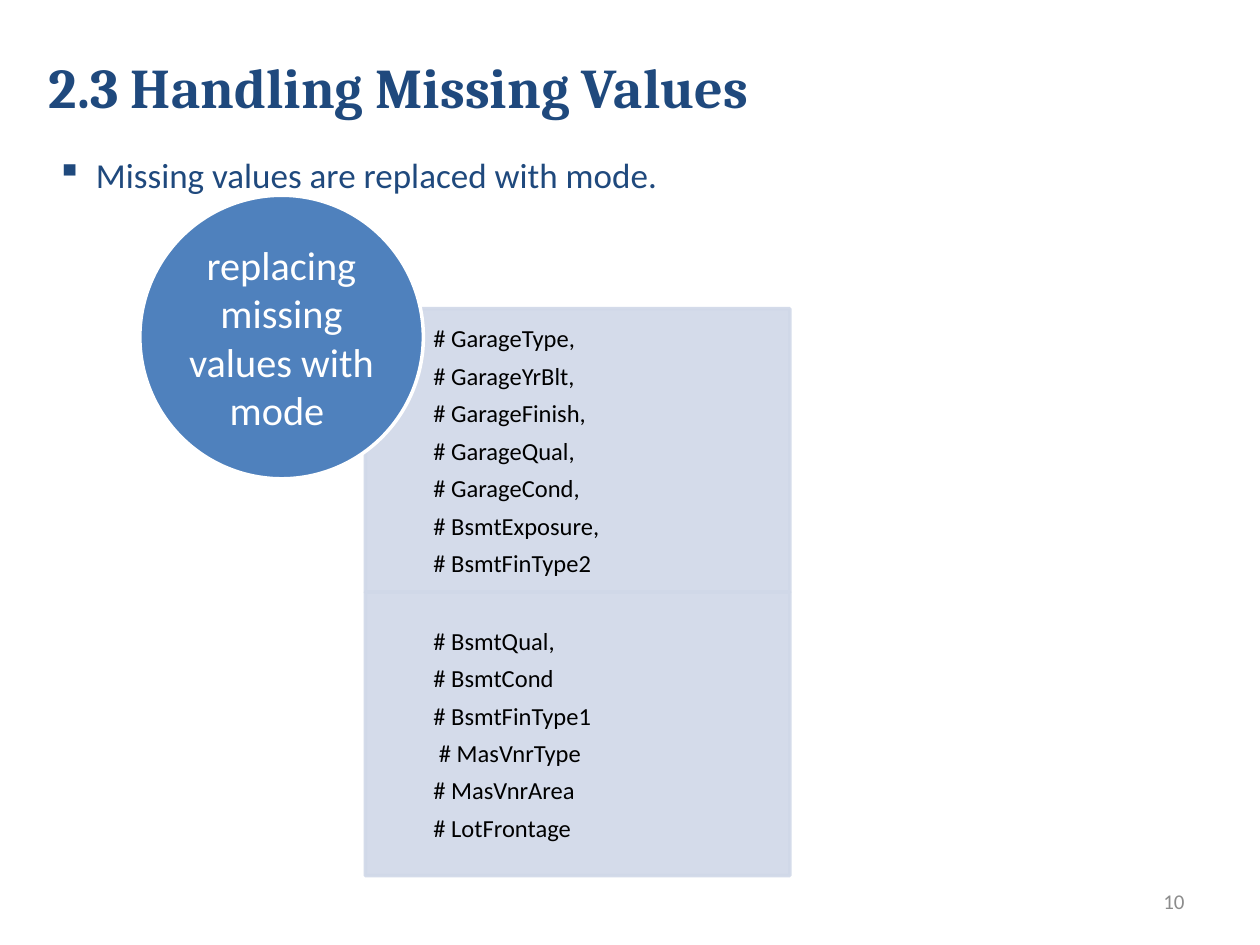
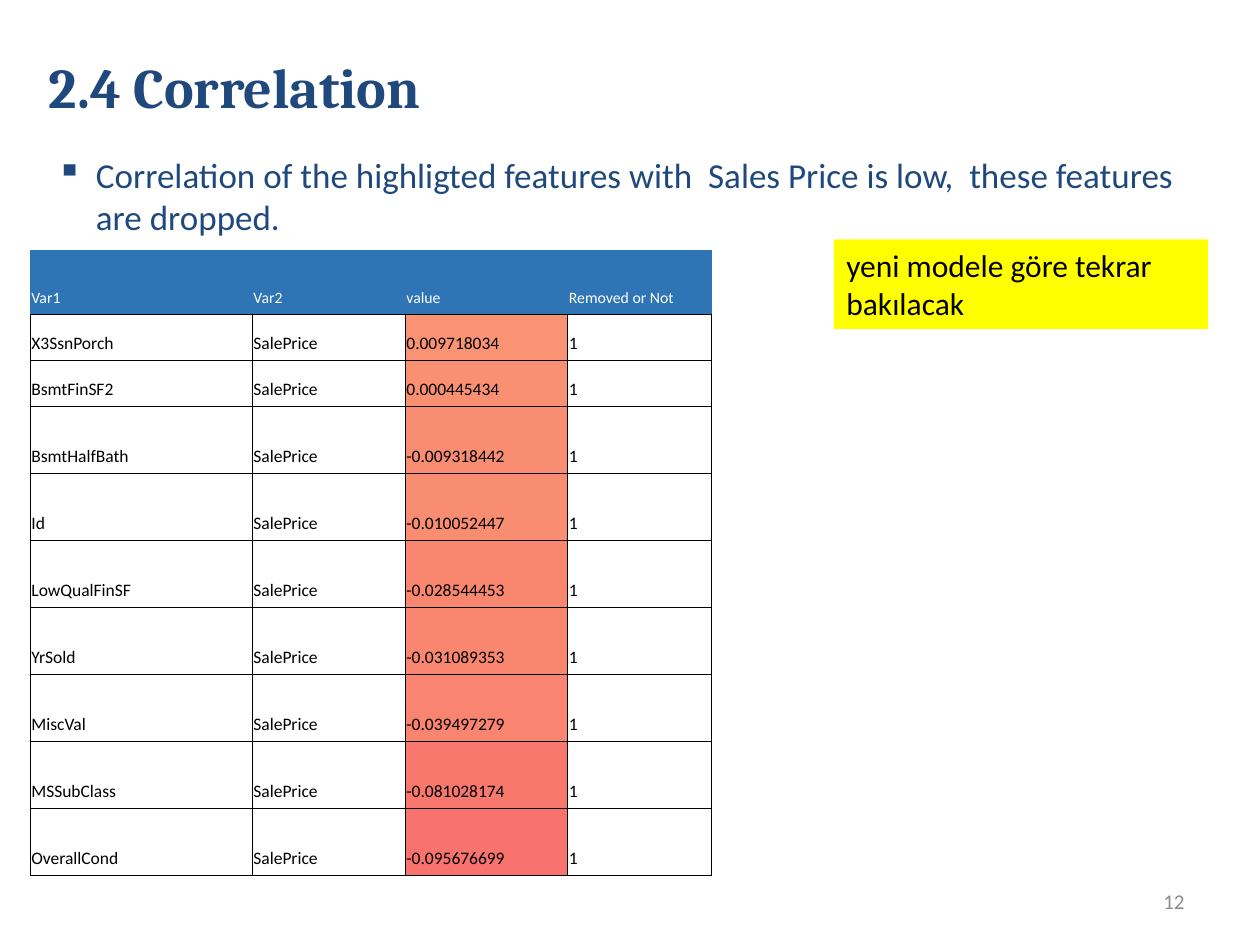
from dataclasses import dataclass

import pptx
import pptx.util
import pptx.dml.color
import pptx.enum.shapes
import pptx.enum.text
import pptx.oxml
import pptx.oxml.ns

Pt = pptx.util.Pt
RGBColor = pptx.dml.color.RGBColor
Shape = pptx.enum.shapes.MSO_SHAPE
Align = pptx.enum.text.PP_ALIGN
Anchor = pptx.enum.text.MSO_ANCHOR
qn = pptx.oxml.ns.qn

NAVY = RGBColor(0x1F, 0x49, 0x7D)
BLUE = RGBColor(0x4F, 0x81, 0xBD)
PALE = RGBColor(0xD0, 0xD8, 0xE8)
HEAD = RGBColor(0x2F, 0x75, 0xB5)
GREY = RGBColor(0x8C, 0x8C, 0x8C)
YELLOW = RGBColor(0xFF, 0xFF, 0x00)
WHITE = RGBColor(0xFF, 0xFF, 0xFF)
BLACK = RGBColor(0x00, 0x00, 0x00)
SERIF, SANS = "Cambria", "Calibri"


@dataclass(frozen=True)
class Box:
    left: float
    top: float
    width: float
    height: float

    def points(self) -> tuple:
        return Pt(self.left), Pt(self.top), Pt(self.width), Pt(self.height)


@dataclass(frozen=True)
class Style:
    size: float
    color: RGBColor
    font: str = SANS
    bold: bool = False
    align: Align = Align.LEFT
    after: float = 0


@dataclass(frozen=True)
class Pair:
    """One feature, its correlation with the sale price, and the heat colour."""
    name: str
    value: str
    heat: str


TITLE = Style(32, NAVY, SERIF, bold=True)
BODY = Style(20, NAVY)
FOOT = Style(12, GREY, align=Align.RIGHT)
LIST = Style(14, BLACK, after=4.6)
DISC = Style(23, WHITE, align=Align.CENTER)
NOTE = Style(18, BLACK)
TOP_CELL = Style(9, WHITE)
CELL = Style(10, BLACK)

TITLE_BOX = Box(20.9, 4.3, 648, 90)
BODY_BOX = Box(25.2, 84.2, 666, 56)
FOOT_BOX = Box(516.2, 500.4, 167.8, 28.8)
DISC_BOX = Box(79.9, 111.6, 162, 162)
NOTE_BOX = Box(476.6, 136.8, 213.8, 51.1)
TABLE_BOX = Box(17.3, 142.9, 389.5, 357.5)
PANEL_BOX = Box(208.8, 176.4, 242.6, 162)
HANG = 22.5

GROUPS = [
    ["# GarageType,", "# GarageYrBlt,", "# GarageFinish,", "# GarageQual,",
     "# GarageCond,", "# BsmtExposure,", "# BsmtFinType2"],
    ["# BsmtQual,", "# BsmtCond", "# BsmtFinType1", " # MasVnrType",
     "# MasVnrArea", "# LotFrontage"],
]
HEADS = ["Var1", "Var2", "value", "Removed or Not"]
PAIRS = [
    Pair("X3SsnPorch", "0.009718034", "FA9373"),
    Pair("BsmtFinSF2", "0.000445434", "FA9072"),
    Pair("BsmtHalfBath", "-0.009318442", "F98D72"),
    Pair("Id", "-0.010052447", "F98D72"),
    Pair("LowQualFinSF", "-0.028544453", "F98770"),
    Pair("YrSold", "-0.031089353", "F98770"),
    Pair("MiscVal", "-0.039497279", "F98470"),
    Pair("MSSubClass", "-0.081028174", "F8786D"),
    Pair("OverallCond", "-0.095676699", "F8736D"),
]
WIDTHS = [126.9, 87.4, 92.9, 82.3]
HEIGHTS = [36.6] + [26.5] * 2 + [38.25] * 7


def write(frame, lines: list[str], style: Style) -> None:
    frame.text = "\n".join(lines)
    for par in frame.paragraphs:
        par.alignment = style.align
        par.space_after = Pt(style.after)
        for run in par.runs:
            run.font.size = Pt(style.size)
            run.font.name = style.font
            run.font.bold = style.bold
            run.font.color.rgb = style.color


def inset(frame, left: float, rest: float) -> None:
    frame.margin_left = Pt(left)
    frame.margin_top = frame.margin_right = frame.margin_bottom = Pt(rest)


def add_text(slide, box: Box, text: str, style: Style, anchor=Anchor.MIDDLE):
    frame = slide.shapes.add_textbox(*box.points()).text_frame
    frame.word_wrap = True
    frame.vertical_anchor = anchor
    write(frame, [text], style)
    return frame


def add_shape(slide, kind: Shape, box: Box, fill: RGBColor,
              lines: list[str], style: Style, edge: RGBColor | None = None):
    shape = slide.shapes.add_shape(kind, *box.points())
    shape.shadow.inherit = False
    shape.fill.solid()
    shape.fill.fore_color.rgb = fill
    if edge is None:
        shape.line.fill.background()
    else:
        shape.line.color.rgb = edge
        shape.line.width = Pt(2)
    shape.text_frame.word_wrap = True
    shape.text_frame.vertical_anchor = Anchor.MIDDLE
    write(shape.text_frame, lines, style)
    return shape


def fade(shape, percent: int) -> None:
    """Make the fill and the outline of a shape partly see-through."""
    for color in shape._element.spPr.iter(qn("a:srgbClr")):
        alpha = color.makeelement(qn("a:alpha"), {"val": str(percent * 1000)})
        color.append(alpha)


def add_slide(deck, title: str, point: str, number: int):
    """Add a slide with its title, one bullet point and its number."""
    slide = deck.slides.add_slide(deck.slide_layouts[6])
    add_text(slide, FOOT_BOX, str(number), FOOT)
    frame = add_text(slide, BODY_BOX, point, BODY, Anchor.TOP)
    props = frame.paragraphs[0]._p.get_or_add_pPr()
    props.set("marL", str(Pt(HANG)))
    props.set("indent", str(-Pt(HANG)))
    props.append(props.makeelement(qn("a:buChar"), {"char": "▪"}))
    add_text(slide, TITLE_BOX, title, TITLE)
    return slide


def rule_cell(cell, sides: str) -> None:
    """Draw thin black lines on the named sides and none on the others."""
    props = cell._tc.get_or_add_tcPr()
    space = pptx.oxml.ns.nsdecls("a")
    for side in "LRTB":
        paint = ('<a:solidFill><a:srgbClr val="000000"/></a:solidFill>'
                 if side in sides else "<a:noFill/>")
        props.append(pptx.oxml.parse_xml(
            f'<a:ln{side} {space} w="{Pt(0.5)}">{paint}</a:ln{side}>'))


def fill_cell(cell, text: str, style: Style, fill: RGBColor, sides: str) -> None:
    write(cell.text_frame, [text], style)
    inset(cell, 0.7, 0.7)
    cell.margin_bottom = Pt(3.6)
    cell.vertical_anchor = Anchor.BOTTOM
    rule_cell(cell, sides)
    cell.fill.solid()
    cell.fill.fore_color.rgb = fill


def add_table(slide) -> None:
    table = slide.shapes.add_table(
        len(HEIGHTS), len(WIDTHS), *TABLE_BOX.points()).table
    table.first_row = table.horz_banding = False
    for column, width in zip(table.columns, WIDTHS):
        column.width = Pt(width)
    for row, height in zip(table.rows, HEIGHTS):
        row.height = Pt(height)
    for col, text in enumerate(HEADS):
        fill_cell(table.cell(0, col), text, TOP_CELL, HEAD, "B")
    for row, pair in enumerate(PAIRS, 1):
        for col, text in enumerate([pair.name, "SalePrice", pair.value, "1"]):
            fill = RGBColor.from_string(pair.heat) if col == 2 else WHITE
            fill_cell(table.cell(row, col), text, CELL, fill, "LRTB")


def add_missing(deck) -> None:
    slide = add_slide(deck, "2.3 Handling Missing Values",
                      "Missing values are replaced with mode.", 10)
    for row, names in enumerate(GROUPS):
        box = Box(PANEL_BOX.left, PANEL_BOX.top + row * PANEL_BOX.height,
                  PANEL_BOX.width, PANEL_BOX.height)
        panel = add_shape(slide, Shape.RECTANGLE, box, PALE, names, LIST, PALE)
        inset(panel.text_frame, 38.9, 7.9)
        fade(panel, 90)
    disc = add_shape(slide, Shape.OVAL, DISC_BOX, BLUE,
                     ["replacing missing values with mode "], DISC, WHITE)
    inset(disc.text_frame, 0, 0)


def add_correl(deck) -> None:
    slide = add_slide(
        deck, "2.4 Correlation",
        "Correlation of the highligted features with  Sales Price is low,  "
        "these features are dropped.", 12)
    add_table(slide)
    add_shape(slide, Shape.RECTANGLE, NOTE_BOX, YELLOW,
              ["yeni modele göre tekrar bakılacak"], NOTE)


def main() -> None:
    deck = pptx.Presentation()
    deck.slide_width, deck.slide_height = Pt(720), Pt(540)
    add_missing(deck)
    add_correl(deck)
    deck.save("out.pptx")


if __name__ == "__main__":
    main()
